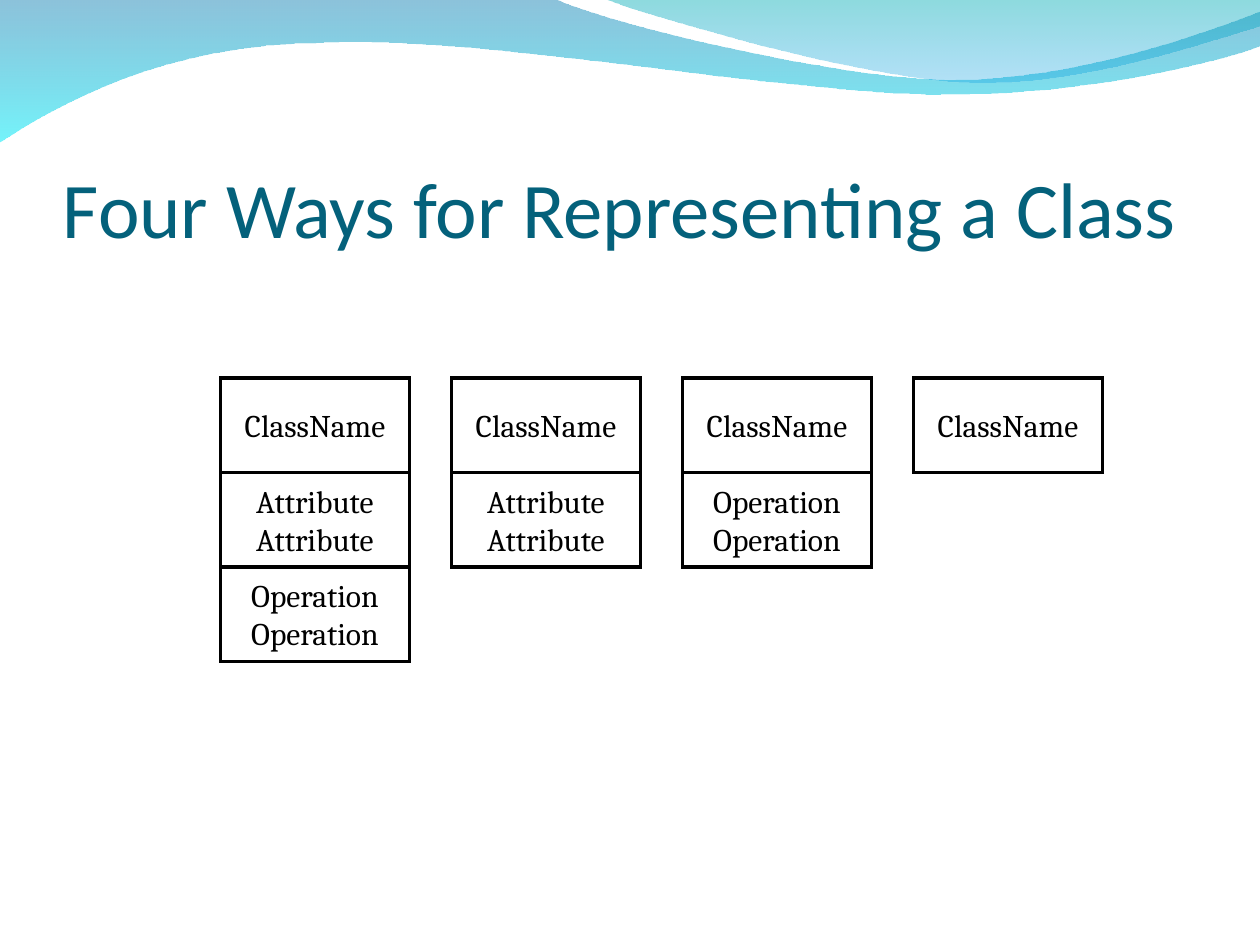
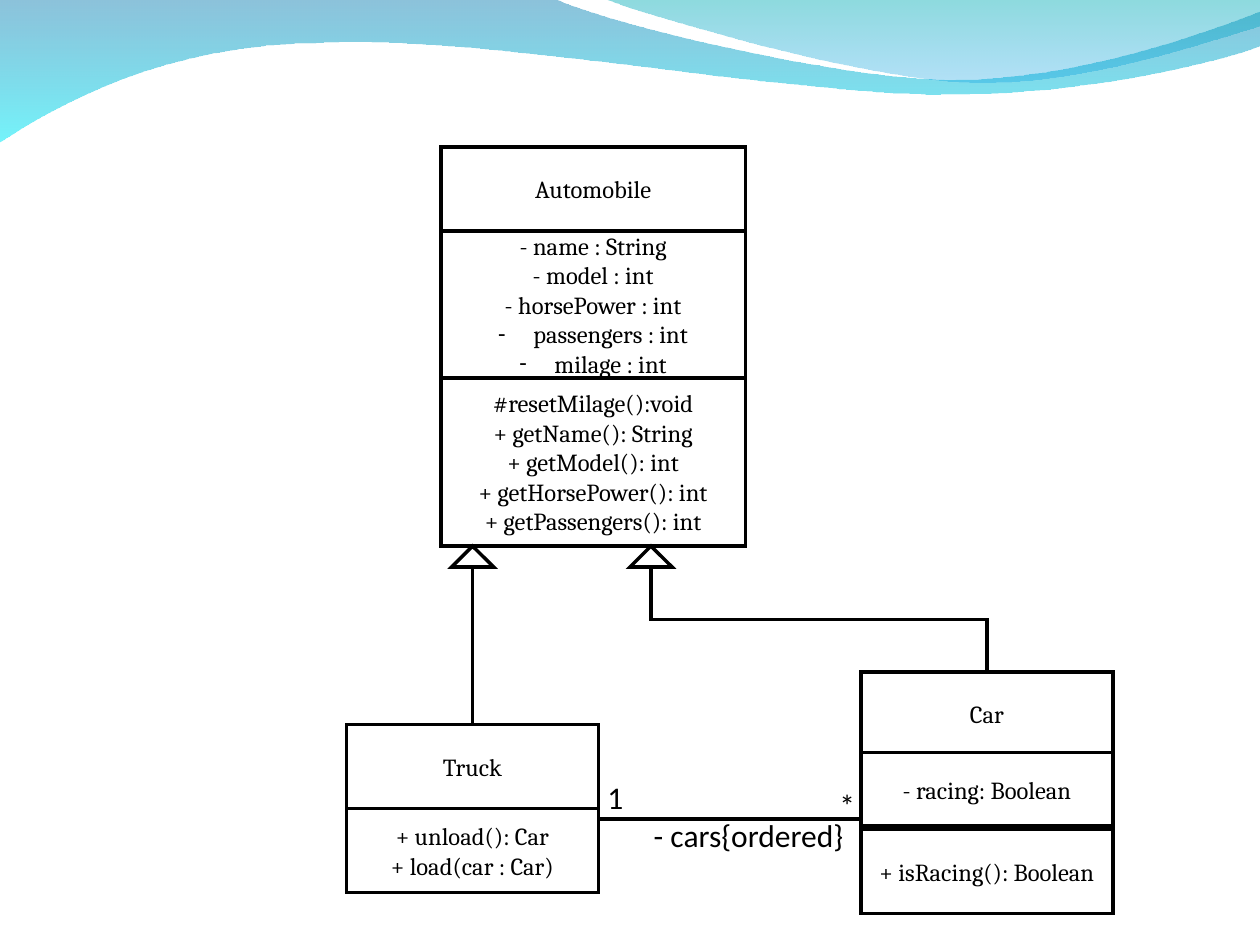
import pptx
import pptx.util
import pptx.dml.color
import pptx.enum.shapes
import pptx.enum.text
import pptx.oxml.ns
import lxml.etree

Pt = pptx.util.Pt
qn = pptx.oxml.ns.qn
SHAPE = pptx.enum.shapes.MSO_SHAPE
CONNECTOR = pptx.enum.shapes.MSO_CONNECTOR
ANCHOR = pptx.enum.text.MSO_ANCHOR
ALIGN = pptx.enum.text.PP_ALIGN

COLORS = {
    "title": "04617B", "ink": "000000", "paper": "FFFFFF",
    "wave_top": "0079AF", "wave_bottom": "00EBF8",
    "crest_top": "00ADB6", "crest_bottom": "009BE5",
}
TITLE_FONT, CLASS_FONT = "Calibri", "Cambria"

# Outlines in points: two numbers make a line, six make a Bezier curve
WAVE = [
    (0, -0.7), (316.8, -0.7),
    (342.7, 12.2, 478.1, 45.4, 545.8, 45.4),
    (614.2, 45.4, 689.8, 18.7, 720, 6.5), (720.7, 25.9),
    (707.8, 31.7, 626.4, 54.7, 537.1, 54),
    (447.8, 54, 275, 20.2, 185, 24.5),
    (92.9, 25.2, 33.1, 59.8, -0.7, 81.4),
]
CREST = [
    (344.9, -0.7),
    (366.5, 7.9, 491, 44.6, 553.7, 46.8),
    (616.3, 49.7, 691.9, 23, 720, 15.1), (720, 0),
]


def rgb(name):
    return pptx.dml.color.RGBColor.from_string(COLORS[name])


def add_curved_outline(s, outline):
    """Build the outline from lines, then join each curve's three lines into one."""
    points = [(Pt(seg[i]), Pt(seg[i + 1])) for seg in outline for i in range(0, len(seg), 2)]
    builder = s.shapes.build_freeform(*points[0])
    builder.add_line_segments(points[1:], close=True)
    sp = builder.convert_to_shape()
    lines = iter(list(sp._element.iter(qn("a:lnTo"))))
    for seg in outline[1:]:
        line = next(lines)
        if len(seg) == 6:
            curve = lxml.etree.Element(qn("a:cubicBezTo"))
            line.addprevious(curve)
            for part in (line, next(lines), next(lines)):
                curve.append(part[0])
                part.getparent().remove(part)
    return sp


def add_wave(s, outline, stops):
    """stops: (colour, opacity in percent) from top to bottom."""
    sp = add_curved_outline(s, outline)
    sp.shadow.inherit = False
    sp.fill.gradient()
    sp.fill.gradient_angle = 270
    for stop, (color, _) in zip(sp.fill.gradient_stops, stops):
        stop.color.rgb = rgb(color)
    for clr, (_, opacity) in zip(sp._element.iter(qn("a:srgbClr")), stops):
        lxml.etree.SubElement(clr, qn("a:alpha"), val=str(opacity * 1000))
    sp.line.fill.background()


def add_run(p, text, size, font, color="ink"):
    r = p.add_run()
    r.text = text
    r.font.size = Pt(size)
    r.font.name = font
    r.font.color.rgb = rgb(color)


def add_dash_bullet(p, indent=20):
    pPr = p._p.get_or_add_pPr()
    pPr.set("marL", str(Pt(indent)))
    pPr.set("indent", str(-Pt(indent)))
    lxml.etree.SubElement(pPr, qn("a:buFont"), typeface=TITLE_FONT)
    lxml.etree.SubElement(pPr, qn("a:buChar"), char="-")


def set_ink_line(sp, width):
    """Black line with sharp corners."""
    sp.line.color.rgb = rgb("ink")
    sp.line.width = Pt(width)
    ln = sp._element.spPr.find(qn("a:ln"))
    lxml.etree.SubElement(ln, qn("a:miter"), lim="800000")


def add_outlined(s, kind, x, y, w, h):
    sp = s.shapes.add_shape(kind, Pt(x), Pt(y), Pt(w), Pt(h))
    sp.shadow.inherit = False
    sp.fill.solid()
    sp.fill.fore_color.rgb = rgb("paper")
    set_ink_line(sp, 2)
    return sp


def add_compartment(s, x, y, w, h, lines, size, bulleted=()):
    sp = add_outlined(s, SHAPE.RECTANGLE, x, y, w, h)
    tf = sp.text_frame
    tf.word_wrap = True
    tf.vertical_anchor = ANCHOR.MIDDLE
    for i, line in enumerate(lines):
        p = tf.paragraphs[0] if i == 0 else tf.add_paragraph()
        p.alignment = ALIGN.CENTER
        if line in bulleted:
            add_dash_bullet(p)
        add_run(p, line, size, CLASS_FONT)
    return sp


def add_text(s, x, y, w, h, text, size, color="ink"):
    tb = s.shapes.add_textbox(Pt(x), Pt(y), Pt(w), Pt(h))
    tf = tb.text_frame
    tf.word_wrap = False
    add_run(tf.paragraphs[0], text, size, TITLE_FONT, color)
    return tf


def add_title(s, text):
    tf = add_text(s, 36, 55.5, 648, 90, text, 45, "title")
    tf.word_wrap = True
    tf.vertical_anchor = ANCHOR.BOTTOM
    tf.margin_left = tf.margin_right = tf.margin_bottom = 0


def add_line(s, x1, y1, x2, y2, kind=CONNECTOR.STRAIGHT):
    cxn = s.shapes.add_connector(kind, Pt(x1), Pt(y1), Pt(x2), Pt(y2))
    set_ink_line(cxn, 2.25)
    lxml.etree.SubElement(cxn._element.spPr, qn("a:effectLst"))
    return cxn


def add_vertical_elbow(s, x1, y1, x2, y2):
    """Elbow that leaves downwards: a horizontal one turned about its centre."""
    cx, cy, w, h = (x1 + x2) / 2, (y1 + y2) / 2, x2 - x1, y2 - y1
    cxn = add_line(s, cx - h / 2, cy - w / 2, cx + h / 2, cy + w / 2, CONNECTOR.ELBOW)
    xfrm = cxn._element.spPr.find(qn("a:xfrm"))
    xfrm.set("rot", str(270 * 60000))
    xfrm.set("flipH", "1")


def add_slide(prs):
    s = prs.slides.add_slide(prs.slide_layouts[6])
    add_wave(s, WAVE, [("wave_top", 45), ("wave_bottom", 55)])
    add_wave(s, CREST, [("crest_top", 45), ("crest_bottom", 30)])
    return s


def build_class_forms(prs):
    s = add_slide(prs)
    add_title(s, "Four Ways for Representing a Class")
    name, attributes, operations = ["ClassName"], ["Attribute"] * 2, ["Operation"] * 2
    forms = [[name, attributes, operations], [name, attributes], [name, operations], [name]]
    w, h, pitch = 108, 54, 132
    for col, form in enumerate(forms):
        for row, lines in enumerate(form):
            add_compartment(s, 126 + col * pitch, 216 + row * h, w, h, lines, 18)


def build_automobile_diagram(prs):
    s = add_slide(prs)

    # Classes: left, width, then top, height and lines of each compartment
    classes = {
        "Automobile": (252, 174, [
            (84, 48, ["Automobile"]),
            (132, 84, ["- name : String", "- model : int", "- horsePower : int",
                       "passengers : int", "milage : int"]),
            (216, 96, ["#resetMilage():void", "+ getName(): String", "+ getModel(): int",
                       "+ getHorsePower(): int", "+ getPassengers(): int"])]),
        "Car": (492, 144, [
            (384, 48, ["Car"]),
            (430, 42, ["- racing: Boolean"]),
            (474, 48, ["+ isRacing(): Boolean"])]),
        "Truck": (198, 144, [
            (414, 48, ["Truck"]),
            (462, 48, ["+ unload(): Car", "+ load(car : Car)"])]),
    }
    heads = {}
    for name, (x, w, parts) in classes.items():
        boxes = [add_compartment(s, x, y, w, h, lines, 14,
                                 bulleted=("passengers : int", "milage : int"))
                 for y, h, lines in parts]
        heads[name] = boxes[0]

    # Association between Car and Truck
    add_line(s, 492, 468, 342, 468)
    add_text(s, 366.5, 463, 124, 29, "- cars{ordered}", 18)
    add_text(s, 340, 441, 23, 29, "1", 18)
    add_text(s, 472.5, 445.5, 23, 29, "*", 18)

    # Inheritance
    truck_x, car_x, base_y, arrow_w, arrow_h = 270, 372, 312, 24, 12
    for x in (truck_x, car_x):
        add_outlined(s, SHAPE.ISOSCELES_TRIANGLE, x - arrow_w / 2, base_y, arrow_w, arrow_h)
    add_line(s, truck_x, base_y + arrow_h, truck_x, 414).end_connect(heads["Truck"], 0)
    add_vertical_elbow(s, car_x, base_y + arrow_h, 564, 384)


def main():
    prs = pptx.Presentation()
    prs.slide_width, prs.slide_height = Pt(720), Pt(540)
    build_class_forms(prs)
    build_automobile_diagram(prs)
    prs.save("out.pptx")


if __name__ == "__main__":
    main()
